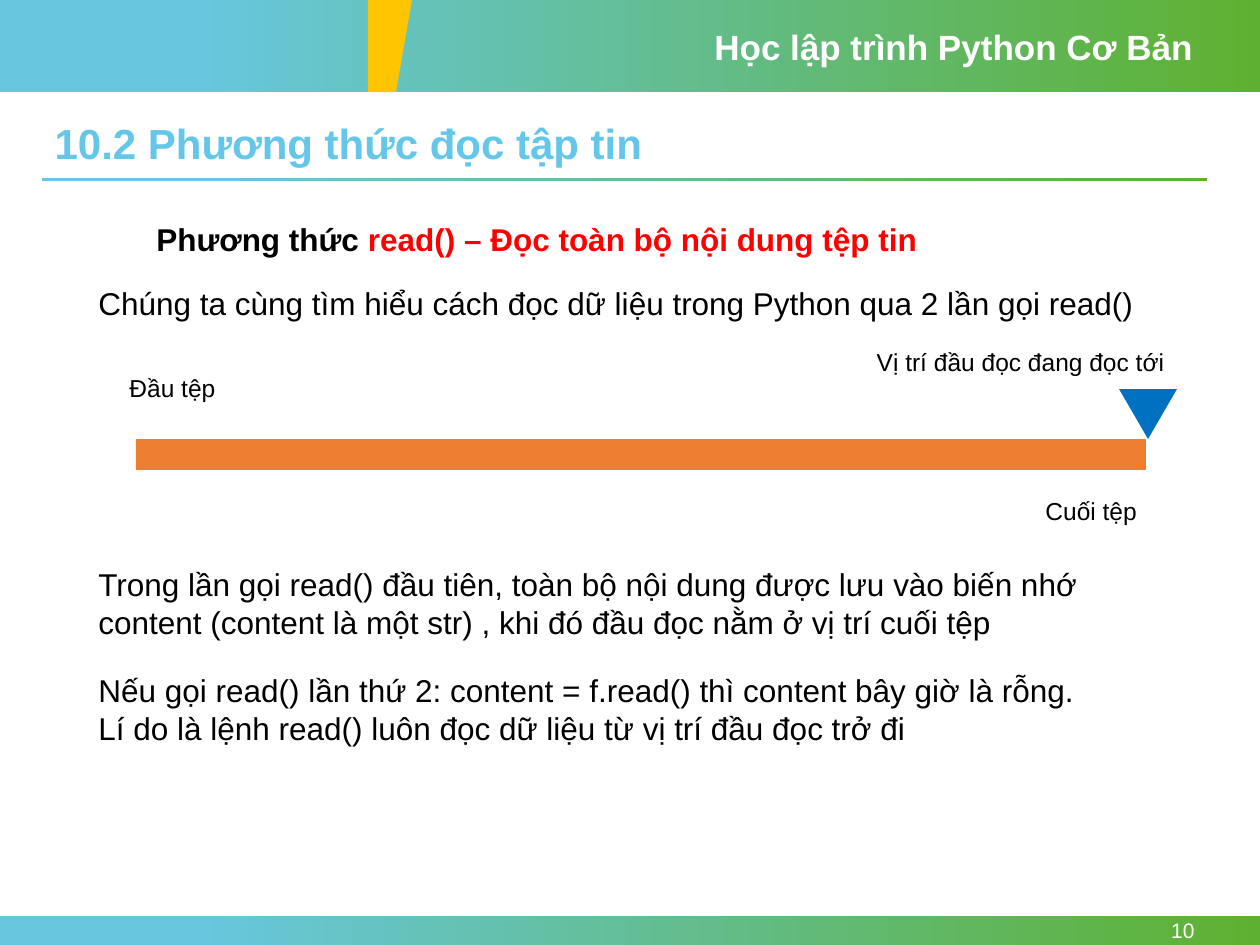
from pptx import Presentation
from pptx.dml.color import RGBColor
from pptx.enum.shapes import MSO_SHAPE
from pptx.enum.text import MSO_ANCHOR, MSO_AUTO_SIZE, PP_ALIGN
from pptx.util import Pt

RECT, TRIANGLE = MSO_SHAPE.RECTANGLE, MSO_SHAPE.ISOSCELES_TRIANGLE
TOP, MIDDLE = MSO_ANCHOR.TOP, MSO_ANCHOR.MIDDLE
LEFT, RIGHT = PP_ALIGN.LEFT, PP_ALIGN.RIGHT
NO_FIT = MSO_AUTO_SIZE.NONE

PX = 914400 / 126
WIDTH, HEIGHT = 1260, 945
FONT = "Arial"
COLORS = {
    "sky": "67C7DF", "green": "5EB130", "yellow": "FFC500", "title": "64C7E9",
    "orange": "ED7D31", "blue": "0070C0", "red": "FF0000",
    "black": "000000", "white": "FFFFFF",
}


def rgb(name):
    return RGBColor.from_string(COLORS[name])


def emu(*lengths):
    return [round(n * PX) for n in lengths]


def style(p, size, color="black", bold=False, align=LEFT):
    p.alignment = align
    p.font.name, p.font.size, p.font.bold = FONT, Pt(size), bold
    p.font.color.rgb = rgb(color)


def add_text(slide, box, lines, size, color="black", bold=False, align=LEFT, anchor=TOP):
    """Add a text box; each line is a list of (text, colour override) runs."""
    tf = slide.shapes.add_textbox(*emu(*box)).text_frame
    tf.word_wrap, tf.vertical_anchor = True, anchor
    for i, runs in enumerate(lines):
        p = tf.add_paragraph() if i else tf.paragraphs[0]
        style(p, size, color, bold, align)
        for text, run_color in runs:
            r = p.add_run()
            r.text = text
            if run_color:
                r.font.color.rgb = rgb(run_color)


def add_label(slide, box, text, size, **look):
    add_text(slide, box, [[(text, None)]], size, **look)


def paint(sp, color):
    sp.shadow.inherit = False
    sp.fill.solid()
    sp.fill.fore_color.rgb = rgb(color)
    sp.line.fill.background()


def add_gradient_bar(slide, box):
    sp = slide.shapes.add_shape(RECT, *emu(*box))
    sp.shadow.inherit = False
    sp.line.fill.background()
    sp.fill.gradient()
    sp.fill.gradient_angle = 0
    for stop, at, color in zip(sp.fill.gradient_stops, (0.15, 1), ("sky", "green")):
        stop.position = at
        stop.color.rgb = rgb(color)


def add_header(slide, x, y, w, h):
    add_gradient_bar(slide, (x, y, w, h))
    flag = slide.shapes.build_freeform(x + 368, y, scale=PX)
    flag.add_line_segments([(x + 412, y), (x + 396, y + h), (x + 368, y + h)])
    paint(flag.convert_to_shape(), "yellow")
    add_label(slide, (x + 702, y + 19, 504, 55), "Học lập trình Python Cơ Bản",
              20, color="white", bold=True)


def add_title(slide, x, y, w, h):
    title = slide.shapes.title
    title.left, title.top, title.width, title.height = emu(x, y, w, h)
    tf = title.text_frame
    tf.text = "10.2 Phương thức đọc tập tin"
    tf.auto_size, tf.word_wrap, tf.vertical_anchor = NO_FIT, True, MIDDLE
    style(tf.paragraphs[0], 24, "title", True)
    tf.paragraphs[0].line_spacing = 0.9
    add_gradient_bar(slide, (x, y + h + 3, w, 3))


def add_explanation(slide, x, y, w):
    """Place the subheading and the paragraphs around the file diagram."""
    add_text(slide, (x + 58, y, 886, 50),
             [[("Phương thức ", None),
               ("read() – Đọc toàn bộ nội dung tệp tin", "red")]], 18, bold=True)
    passages = [
        (64, 50, ["Chúng ta cùng tìm hiểu cách đọc dữ liệu trong Python qua 2 lần gọi read()"]),
        (345, 89, ["Trong lần gọi read() đầu tiên, toàn bộ nội dung được lưu vào biến nhớ "
                   "content (content là một str) , khi đó đầu đọc nằm ở vị trí cuối tệp"]),
        (451, 89, ["Nếu gọi read() lần thứ 2: content = f.read() thì content bây giờ là rỗng.",
                   "Lí do là lệnh read() luôn đọc dữ liệu từ vị trí đầu đọc trở đi"]),
    ]
    for top, height, lines in passages:
        add_text(slide, (x, y + top, w, height), [[(line, None)] for line in lines], 18)


def add_file_diagram(slide, x, y, w, h):
    """Draw the file as a bar, with the read position marked at its end."""
    bar = slide.shapes.add_shape(RECT, *emu(x + 19, y + 98, w - 50, 31))
    paint(bar, "orange")
    marker = slide.shapes.add_shape(TRIANGLE, *emu(x + w - 58, y + 48, 58, 50))
    marker.rotation = 180
    paint(marker, "blue")
    add_label(slide, (x, y + 26, 144, 43), "Đầu tệp", 14)
    add_label(slide, (x + w - 144, y + h - 43, 144, 43), "Cuối tệp", 14)
    add_label(slide, (x + w - 338, y, 338, 43), "Vị trí đầu đọc đang đọc tới", 14, align=RIGHT)


def add_footer(slide, x, y, w, h):
    add_gradient_bar(slide, (x, y, w, h))
    add_label(slide, (x + w - 169, y, 116, h), "10", 12,
              color="white", align=RIGHT, anchor=MIDDLE)


def main():
    prs = Presentation()
    prs.slide_width, prs.slide_height = emu(WIDTH, HEIGHT)
    slide = prs.slides.add_slide(prs.slide_layouts[5])
    add_header(slide, 0, 0, WIDTH, 92)
    add_title(slide, 42, 117, 1165, 58)
    add_explanation(slide, 86, 214, 1080)
    add_file_diagram(slide, 117, 341, 1060, 192)
    add_footer(slide, 0, HEIGHT - 29, WIDTH, 29)
    prs.save("out.pptx")


if __name__ == "__main__":
    main()
